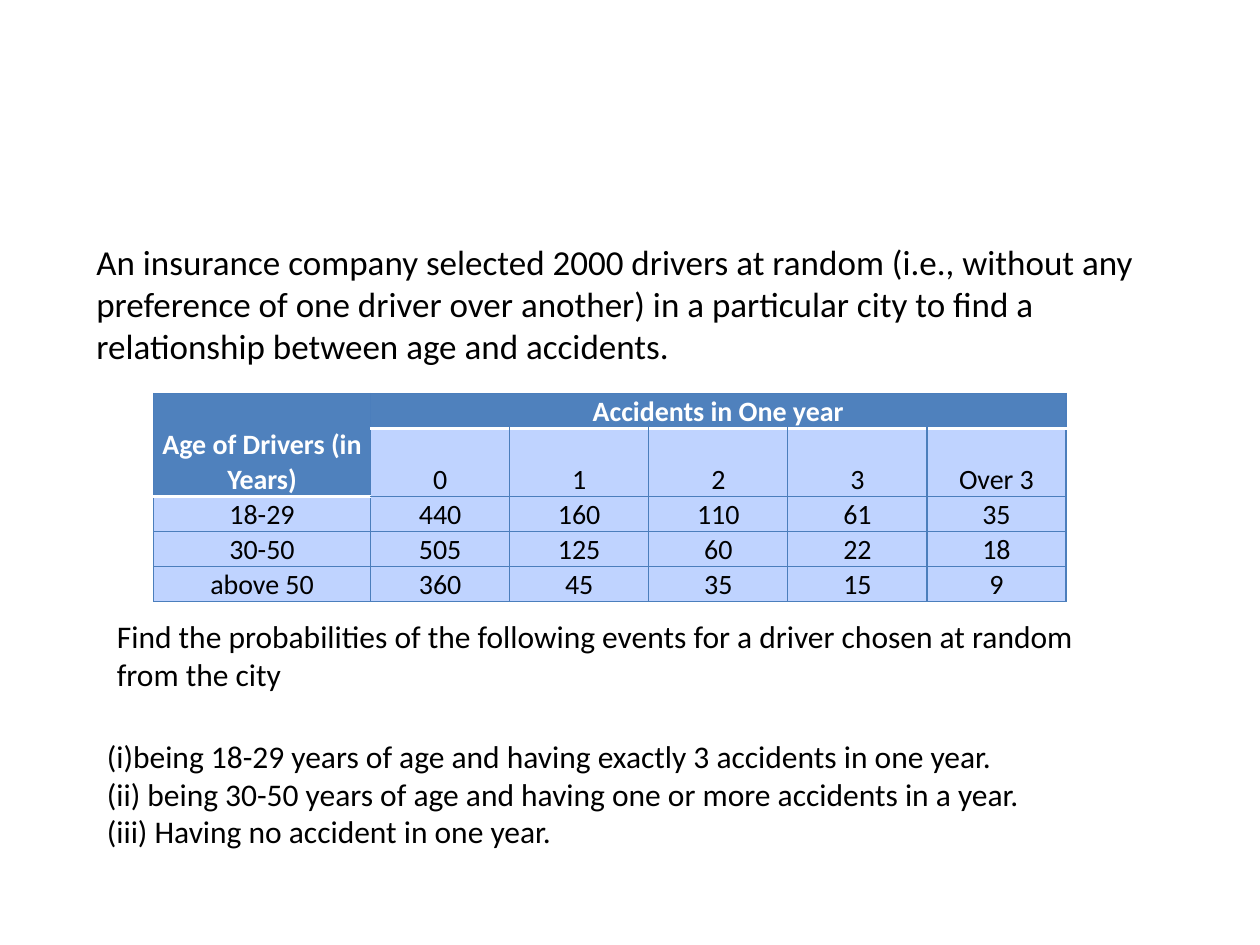
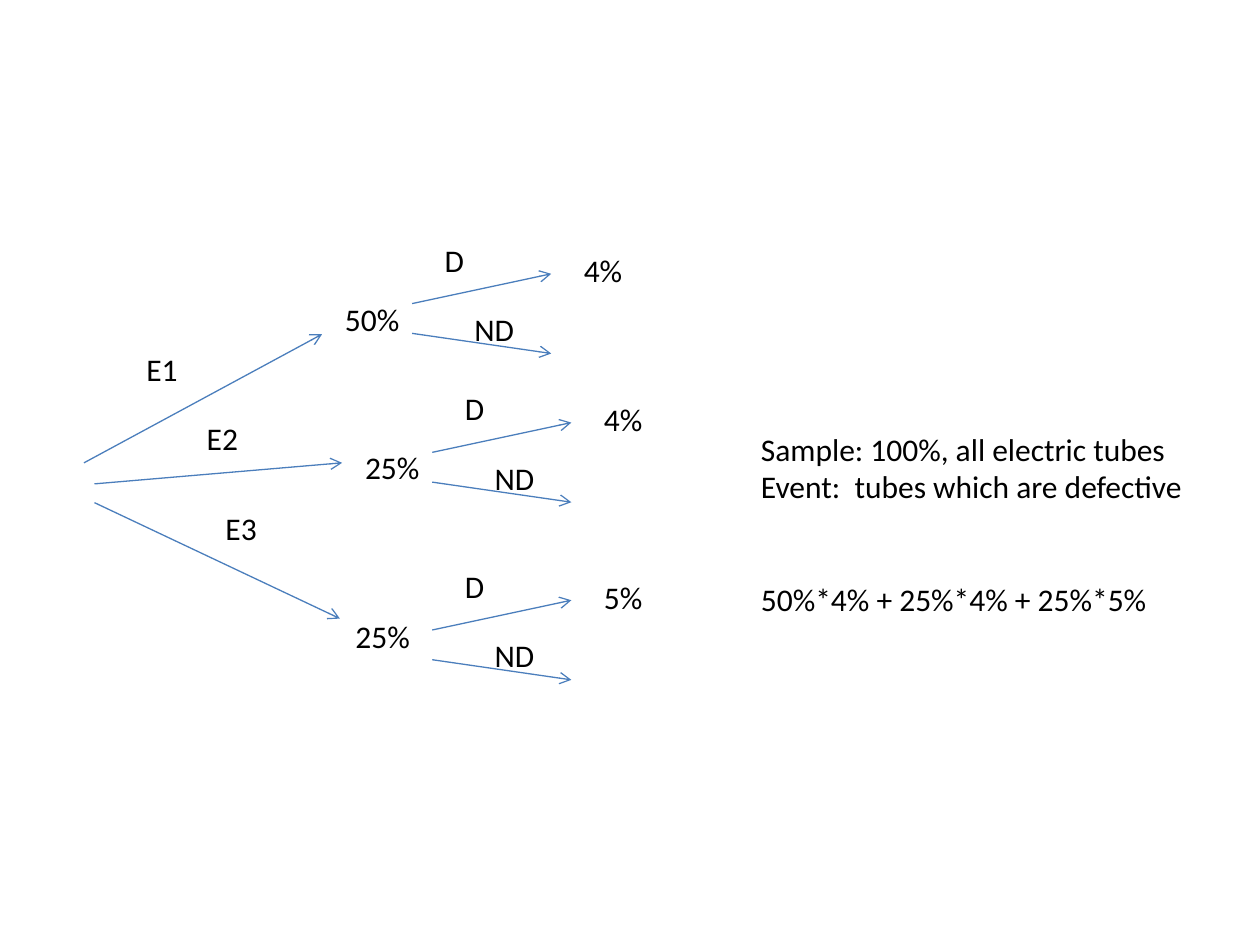
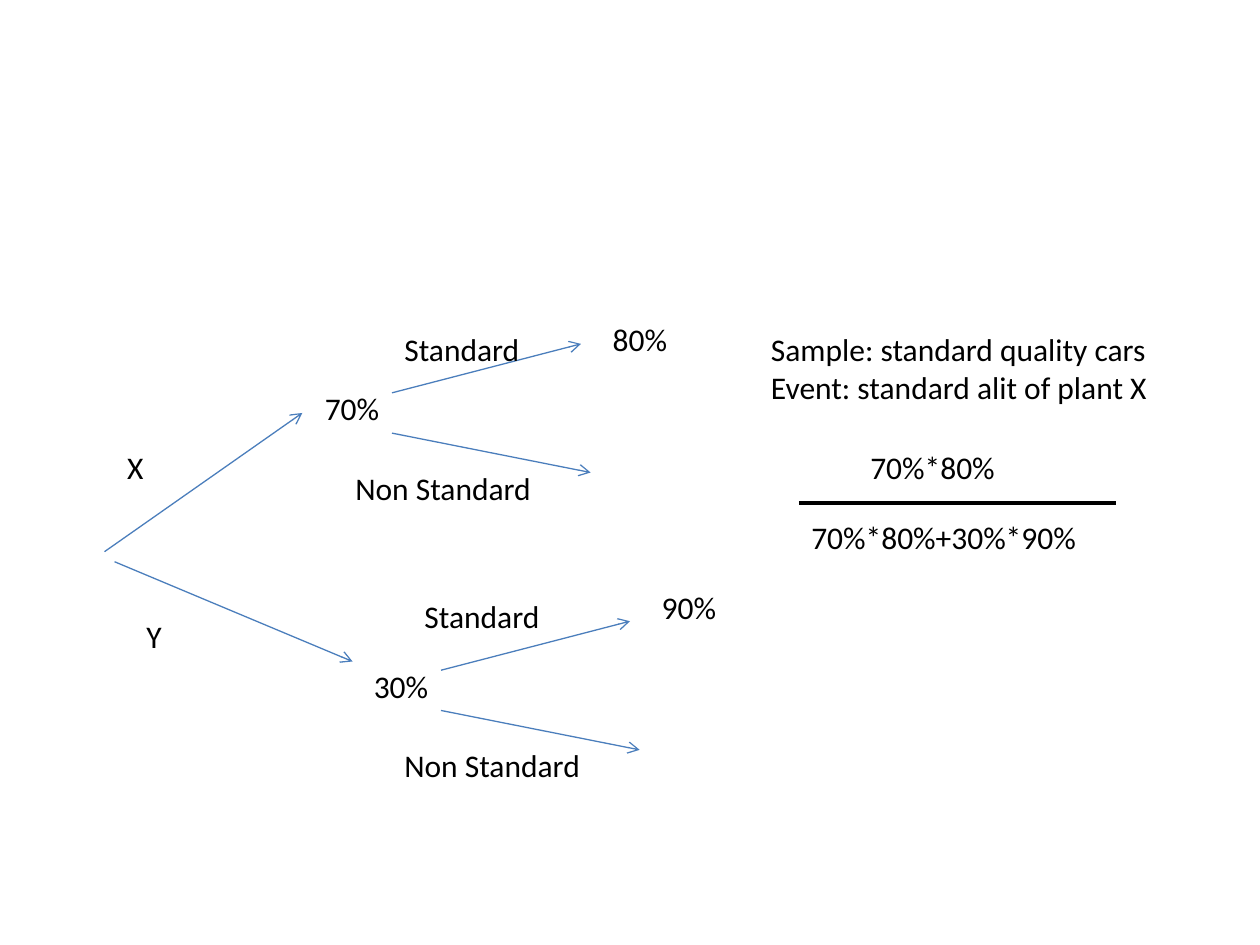
from lxml import etree
from pptx import Presentation
from pptx.dml.color import RGBColor
from pptx.enum.shapes import MSO_CONNECTOR
from pptx.enum.text import MSO_ANCHOR, PP_ALIGN
from pptx.oxml.ns import qn
from pptx.util import Pt

LINE = MSO_CONNECTOR.STRAIGHT
BOTTOM = MSO_ANCHOR.BOTTOM
CENTER = PP_ALIGN.CENTER

FONT = "Calibri"
BLACK = RGBColor(0x00, 0x00, 0x00)
WHITE = RGBColor(0xFF, 0xFF, 0xFF)
BLUE = RGBColor(0x4F, 0x81, 0xBD)
PALE = RGBColor(0xBF, 0xD3, 0xFF)
EDGE = RGBColor(0x4B, 0x7E, 0xBC)

LABEL = 28.8  # height of a one-line label
VALUE = 57    # width of a percentage label


class Deck:
    """Holds the style and the current slide."""

    def __init__(self):
        self.prs = Presentation()
        self.prs.slide_width, self.prs.slide_height = Pt(720), Pt(540)
        self.slide = None

    def page(self):
        self.slide = self.prs.slides.add_slide(self.prs.slide_layouts[6])

    def run(self, para, text, size=18, color=BLACK, bold=False):
        run = para.add_run()
        run.text = text
        font = run.font
        font.name, font.size, font.bold = FONT, Pt(size), bold
        font.color.rgb = color

    def text(self, x, y, w, h, *lines, size=18, gaps=None):
        """Add one paragraph per line; gaps maps a line number to space before."""
        box = self.slide.shapes.add_textbox(Pt(x), Pt(y), Pt(w), Pt(h))
        frame = box.text_frame
        frame.word_wrap = True
        for i, line in enumerate(lines):
            para = frame.add_paragraph() if i else frame.paragraphs[0]
            if gaps and i in gaps:
                para.space_before = Pt(gaps[i])
            self.run(para, line, size)

    def label(self, x, y, w, text):
        self.text(x, y, w, LABEL, text)

    def line(self, start, end, color=EDGE, width=0.75, arrow=True):
        ends = [Pt(v) for v in (*start, *end)]
        link = self.slide.shapes.add_connector(LINE, *ends)
        link.line.color.rgb = color
        link.line.width = Pt(width)
        if arrow:
            etree.SubElement(link.line._ln, qn("a:tailEnd"), type="arrow")
        etree.SubElement(link._element.spPr, qn("a:effectLst"))

    def fork(self, x, y, rise, drop):
        """Draw two arrows; rise is an end, drop a start and an end, from x, y."""
        for start, end in (((0, 0), rise), drop):
            self.line((x + start[0], y + start[1]), (x + end[0], y + end[1]))

    def border(self, cell, side, color, width):
        props = cell._tc.get_or_add_tcPr()
        ln = etree.SubElement(props, qn("a:ln" + side), w=str(Pt(width)))
        fill = etree.SubElement(ln, qn("a:solidFill"))
        etree.SubElement(fill, qn("a:srgbClr"), val=str(color))

    def table(self, x, y, cols, high, rows, spans, heads):
        """Add a table; spans lists merged corners, heads the header cells."""
        shape = self.slide.shapes.add_table(
            len(rows), len(cols), Pt(x), Pt(y), Pt(sum(cols)), Pt(high * len(rows)))
        grid = shape.table
        for col, width in zip(grid.columns, cols):
            col.width = Pt(width)
        for first, last in spans:
            grid.cell(*first).merge(grid.cell(*last))
        for r, row in enumerate(rows):
            grid.rows[r].height = Pt(high)
            for c, text in enumerate(row):
                self.cell(grid.cell(r, c), text, (r, c) in heads, (r - 1, c) in heads)

    def cell(self, cell, text, head, under):
        cell.vertical_anchor = BOTTOM
        cell.margin_left = cell.margin_right = cell.margin_top = Pt(0.75)
        cell.margin_bottom = 0
        for side, white in (("L", False), ("R", False), ("T", under), ("B", head)):
            self.border(cell, side, WHITE if white else EDGE, 2 if white else 0.75)
        cell.fill.solid()
        cell.fill.fore_color.rgb = BLUE if head else PALE
        para = cell.text_frame.paragraphs[0]
        para.alignment = CENTER
        if text:
            self.run(para, text, 16, WHITE if head else BLACK, head)


def drivers(deck):
    deck.page()
    deck.text(48, 134, 623.5, 80,
              "An insurance company selected 2000 drivers at random (i.e., without any "
              "preference of one driver over another) in a particular city to find a "
              "relationship between age and accidents.", size=20)
    rows = [
        ["Age of Drivers (in Years)", "Accidents in One year", "", "", "", ""],
        ["", "0", "1", "2", "3", "Over 3"],
        ["18-29", "440", "160", "110", "61", "35"],
        ["30-50", "505", "125", "60", "22", "18"],
        ["above 50", "360", "45", "35", "15", "9"],
    ]
    heads = {(0, c) for c in range(6)} | {(1, 0)}
    spans = [((0, 0), (1, 0)), ((0, 1), (0, 5))]
    deck.table(87.75, 224.75, [124] + [79.5] * 5, 17.25, rows, spans, heads)
    deck.text(59.75, 349, 589.5, 51,
              "Find the probabilities of the following events for a driver "
              "chosen at random from the city")
    deck.text(54, 417.5, 612, 73,
              "(i)being 18-29 years of age and having exactly 3 accidents in one year.",
              "(ii) being 30-50 years of age and having one or more accidents in a year.",
              "(iii) Having no accident in one year.")


def tubes(deck):
    deck.page()
    # First stage: the three sources
    stems = [
        ("E1", (76.5, 196.5), (48, 264.5), (184, 191)),
        ("E2", (111, 236), (54, 276.5), (195.5, 264.5)),
        ("E3", (121.75, 287.25), (54, 287.25), (194.25, 353.5)),
    ]
    for name, spot, start, end in stems:
        deck.line(start, end)
        deck.label(*spot, 45.5, name)
    # Second stage: defective or not
    forks = [
        (235.5, 173.5, "50%", (190, 167.75), "4%"),
        (247, 258.5, "25%", (201.5, 252.75), "4%"),
        (247, 360, "25%", (196, 349.25), "5%"),
    ]
    for x, y, share, spot, rate in forks:
        deck.label(*spot, VALUE, share)
        deck.fork(x, y, (79.5, -17), ((0, 17), (79.5, 28.5)))
        deck.label(x + 11.5, y - 39.5, 34, "D")
        deck.label(x + 28.5, y, 45.5, "ND")
        deck.label(x + 91, y - 33.5, VALUE, rate)
    # Working
    deck.text(427.75, 242, 266.5, 116.5,
              "Sample: 100%, all electric tubes",
              "Event:  tubes which are defective",
              "50%*4% + 25%*4% + 25%*5%", gaps={2: 43})


def cars(deck):
    deck.page()
    # First stage: the two plants
    stems = [
        ("X", (65.5, 252.75), 62.5, (59.75, 315.25), (172.75, 236)),
        ("Y", (76.5, 349.25), 79, (65.5, 321), (201.5, 378)),
    ]
    for name, spot, width, start, end in stems:
        deck.line(start, end)
        deck.label(*spot, width, name)
    # Second stage: standard or not
    forks = [
        (224, 224.5, "70%", (224, 185), "80%", 179.25),
        (252, 383, "30%", (235.5, 337.75), "90%", 332.5),
    ]
    for x, y, share, spot, rate, top in forks:
        deck.label(x - 45.5, y - 5.5, VALUE, share)
        deck.fork(x, y, (108, -28), ((0, 23), (113.5, 45.5)))
        deck.label(*spot, 102, "Standard")
        deck.label(x - 28, y + 40, 124.5, "Non Standard")
        deck.label(x + 119, top, VALUE, rate)
    # Working, with the fraction
    deck.text(433.5, 185, 244, 138,
              "Sample: standard quality cars",
              "Event: standard alit of plant X")
    deck.line((456.5, 287.25), (638, 287.25), BLACK, 2.25, arrow=False)
    deck.label(490.25, 252.75, 119, "70%*80%")
    deck.label(456.5, 292.25, 187, "70%*80%+30%*90%")


def main():
    deck = Deck()
    for build in (drivers, tubes, cars):
        build(deck)
    deck.prs.save("out.pptx")


if __name__ == "__main__":
    main()
